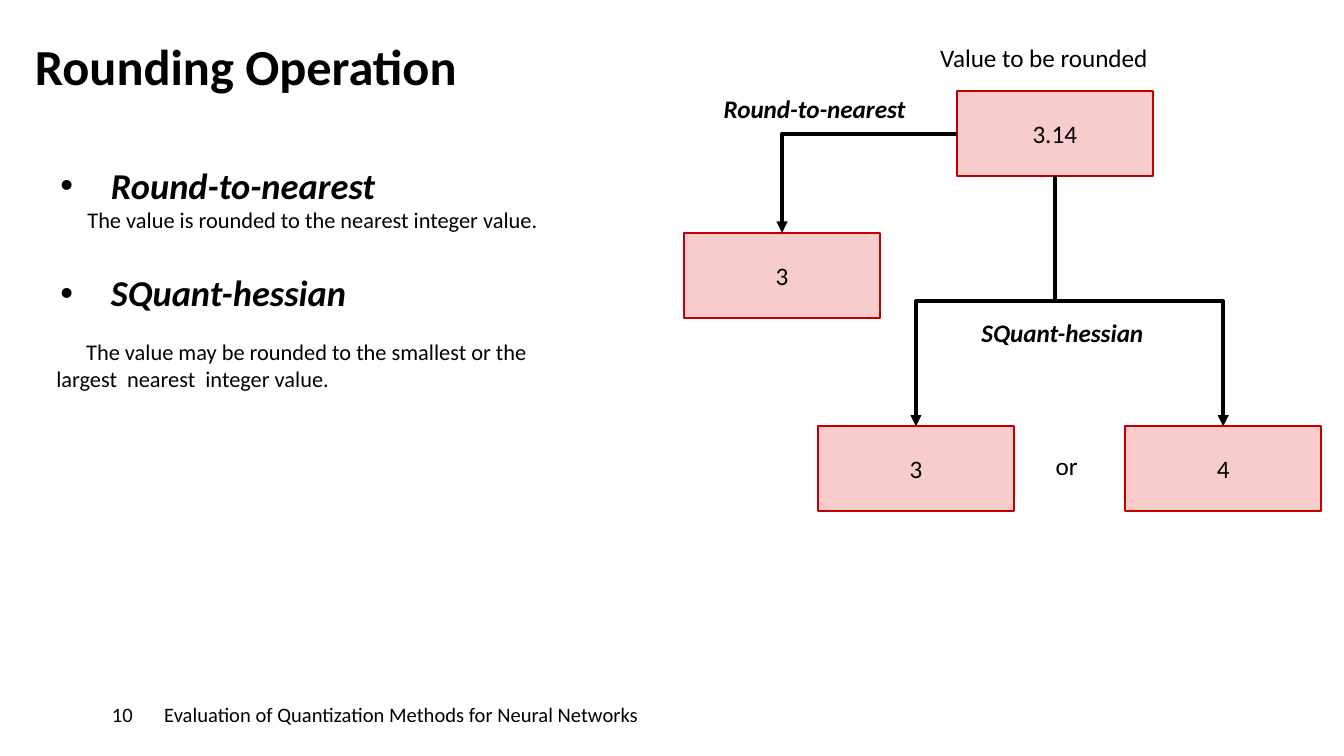
import dataclasses

import lxml.etree
import pptx
import pptx.dml.color
import pptx.enum.shapes
import pptx.enum.text
import pptx.oxml.ns
import pptx.util

Pt = pptx.util.Pt
Align = pptx.enum.text.PP_ALIGN
Anchor = pptx.enum.text.MSO_ANCHOR
Kind = pptx.enum.shapes.MSO_SHAPE
Elbow = pptx.enum.shapes.MSO_CONNECTOR.ELBOW

BLACK, WHITE, PINK, RED = "000000", "FFFFFF", "F9CCCC", "C00000"
BOX_W, BOX_H = 105, 45.5


@dataclasses.dataclass
class Box:
    text: str
    left: float
    top: float

    @property
    def mid_x(self) -> float:
        return self.left + BOX_W / 2

    @property
    def mid_y(self) -> float:
        return self.top + BOX_H / 2


@dataclasses.dataclass
class Label:
    text: str
    left: float
    top: float
    width: float
    strong: bool = False
    align: Align = Align.LEFT


def paint(part, color: str) -> None:
    """Give a fill, line or font a solid colour."""
    if hasattr(part, "solid"):
        part.solid()
        part.fore_color.rgb = pptx.dml.color.RGBColor.from_string(color)
    else:
        part.color.rgb = pptx.dml.color.RGBColor.from_string(color)


def add_xml(parent, tag: str, **attrs: str):
    return lxml.etree.SubElement(parent, pptx.oxml.ns.qn(tag), attrs)


def write(para, text: str, size: float = 13.5, strong: bool = False, slant: bool = False,
          align: Align = Align.LEFT, before: float = 0, margin: float = 0,
          indent: float = 0, bullet: str = "") -> None:
    para.alignment = align
    para.space_before = Pt(before)
    props = para._p.get_or_add_pPr()
    props.set("marL", str(Pt(margin)))
    props.set("indent", str(Pt(indent)))
    if bullet:
        add_xml(props, "a:buChar", char=bullet)
    else:
        add_xml(props, "a:buNone")
    run = para.add_run()
    run.text = text
    run.font.name = "Calibri"
    run.font.size = Pt(size)
    run.font.bold = strong
    run.font.italic = slant
    paint(run.font, BLACK)


def clear_pad(frame) -> None:
    frame.margin_left = frame.margin_right = frame.margin_top = frame.margin_bottom = 0


def place(shape, left: float, top: float, width: float, height: float):
    shape.left, shape.top = Pt(left), Pt(top)
    shape.width, shape.height = Pt(width), Pt(height)
    frame = shape.text_frame
    clear_pad(frame)
    frame.word_wrap = True
    frame.auto_size = pptx.enum.text.MSO_AUTO_SIZE.NONE
    frame.vertical_anchor = Anchor.TOP
    return frame


def add_rect(shapes, left: float, top: float, width: float, height: float, fill: str):
    rect = shapes.add_shape(Kind.RECTANGLE, Pt(left), Pt(top), Pt(width), Pt(height))
    rect.shadow.inherit = False
    paint(rect.fill, fill)
    rect.line.fill.background()
    rect.text_frame.vertical_anchor = Anchor.MIDDLE
    return rect


def draw_box(shapes, box: Box) -> None:
    rect = add_rect(shapes, box.left, box.top, BOX_W, BOX_H, PINK)
    paint(rect.line, RED)
    rect.line.width = Pt(1)
    write(rect.text_frame.paragraphs[0], box.text, align=Align.CENTER)


def draw_label(shapes, label: Label) -> None:
    frame = shapes.add_textbox(Pt(label.left), Pt(label.top), Pt(label.width), Pt(24)).text_frame
    frame.word_wrap = True
    write(frame.paragraphs[0], label.text, strong=label.strong, slant=label.strong,
          align=label.align)


def add_arrow(shapes, x1: float, y1: float, x2: float, y2: float):
    arrow = shapes.add_connector(Elbow, Pt(x1), Pt(y1), Pt(x2), Pt(y2))
    paint(arrow.line, BLACK)
    arrow.line.width = Pt(2)
    add_xml(arrow.line._get_or_add_ln(), "a:tailEnd", type="triangle")
    add_xml(arrow._element.spPr, "a:effectLst")
    return arrow


def draw_side(shapes, start: Box, end: Box) -> None:
    """Leave the left side, turn once and enter from above."""
    arrow = add_arrow(shapes, start.left, start.mid_y, end.mid_x, end.top)
    arrow._element.spPr.find(pptx.oxml.ns.qn("a:prstGeom")).set("prst", "bentConnector2")


def draw_fork(shapes, start: Box, end: Box) -> None:
    """Go down, across and down: a three-part elbow turned by a quarter."""
    top = start.top + BOX_H
    mid_x, mid_y = (start.mid_x + end.mid_x) / 2, (top + end.top) / 2
    half_w, half_h = (end.top - top) / 2, abs(end.mid_x - start.mid_x) / 2
    side = 1 if end.mid_x < start.mid_x else -1
    arrow = add_arrow(shapes, mid_x - side * half_w, mid_y - half_h,
                      mid_x + side * half_w, mid_y + half_h)
    turn = 90 if side == 1 else 270
    arrow._element.spPr.find(pptx.oxml.ns.qn("a:xfrm")).set("rot", str(turn * 60000))


def main() -> None:
    deck = pptx.Presentation()
    deck.slide_width, deck.slide_height = Pt(720), Pt(405)
    slide = deck.slides.add_slide(deck.slide_layouts[1])
    shapes = slide.shapes

    # Title
    frame = place(shapes.title, 18.7, 18.7, 594.7, 42.5)
    write(frame.paragraphs[0], "Rounding Operation", size=27, strong=True)

    # Footer
    for text, left, width in (
        ("Evaluation of Quantization Methods for Neural Networks", 88, 554),
        ("10", 60, 28),
    ):
        rect = add_rect(shapes, left, 360, width, 45, WHITE)
        clear_pad(rect.text_frame)
        write(rect.text_frame.paragraphs[0], text, size=11)

    # List of methods
    frame = place(slide.placeholders[1], 32.4, 87.1, 288.7, 99.4)
    head = dict(size=19.5, strong=True, slant=True, margin=27, indent=-27, bullet="•")
    write(frame.paragraphs[0], "Round-to-nearest", **head)
    para = frame.add_paragraph()
    para.level = 1
    write(para, "The value is rounded to the nearest integer value.", size=12, margin=14.4)
    write(frame.add_paragraph(), "SQuant-hessian", before=20, **head)
    note = place(shapes.add_textbox(0, 0, 0, 0), 30.2, 181.4, 266.4, 29.5)
    write(note.paragraphs[0], "The value may be rounded to the smallest or the "
          "largest  nearest  integer value.", size=12, indent=16)

    # Value boxes
    root = Box("3.14", 512.6, 48.9)
    near = Box("3", 366.5, 124.7)
    low = Box("3", 438.2, 228.4)
    high = Box("4", 602.8, 228.4)
    for box in (root, near, low, high):
        draw_box(shapes, box)

    # Arrows
    draw_side(shapes, root, near)
    for end in (low, high):
        draw_fork(shapes, root, end)

    # Labels
    for label in (
        Label("or", 558.5, 237.6, 28),
        Label("Value to be rounded", 496.6, 19.4, 145.4),
        Label("Round-to-nearest", 380.6, 46.6, 114, strong=True),
        Label("SQuant-hessian", 500.4, 166.3, 137.5, strong=True, align=Align.CENTER),
    ):
        draw_label(shapes, label)

    deck.save("out.pptx")


if __name__ == "__main__":
    main()
